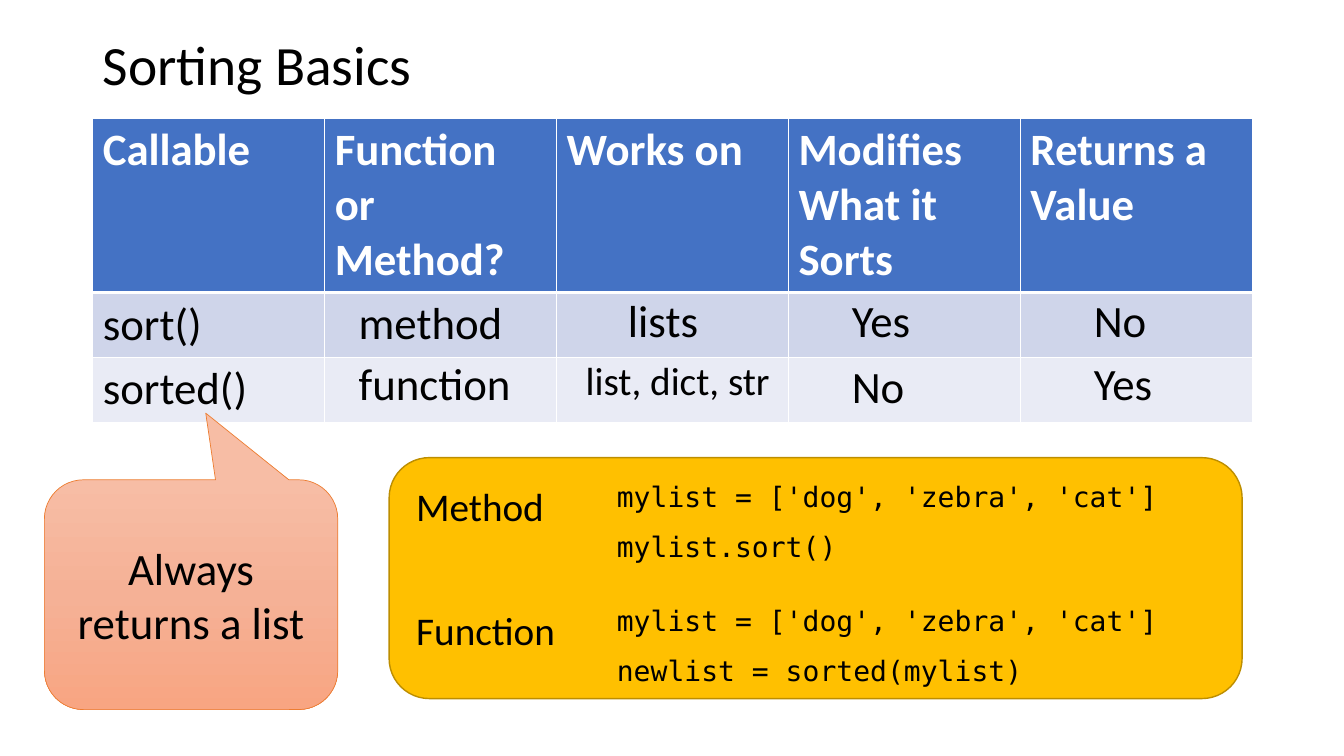
from copy import deepcopy
from dataclasses import dataclass

from lxml.etree import SubElement
from pptx import Presentation
from pptx.dml.color import RGBColor
from pptx.enum.shapes import MSO_SHAPE
from pptx.enum.text import MSO_ANCHOR, MSO_AUTO_SIZE, PP_ALIGN
from pptx.oxml.ns import qn
from pptx.util import Inches, Pt


@dataclass(frozen=True)
class Theme:
    font: str = "Calibri"
    code_font: str = "DejaVu Sans Mono"
    title_size: float = 39.6
    body_size: int = 32
    label_size: int = 28
    code_size: int = 20
    black: str = "000000"
    white: str = "FFFFFF"
    header: str = "4472C4"
    bands: tuple = ("CFD5EA", "E9EBF5")
    panel: str = "FFC000"
    panel_line: str = "BD8E00"
    callout: tuple = ("F7BDA5", "F5B196", "F8A582")
    callout_line: str = "ED7D31"


class SlideBuilder:
    def __init__(self, slide, theme):
        self.slide = slide
        self.theme = theme

    def set_words(self, frame, words, size, font=None, color=None, bold=False,
                  **paragraph_format):
        paragraph = frame.paragraphs[0]
        paragraph.text = words
        for name, value in paragraph_format.items():
            setattr(paragraph, name, value)
        font_format = {"name": font or self.theme.font, "size": Pt(size), "bold": bold}
        for run in paragraph.runs:
            for name, value in font_format.items():
                setattr(run.font, name, value)
            run.font.color.rgb = RGBColor.from_string(color or self.theme.black)

    def text(self, words, box, size, parent=None, wrap=True,
             anchor=MSO_ANCHOR.TOP, grow=True, **text_format):
        shapes = (parent or self.slide).shapes
        frame = shapes.add_textbox(*map(Inches, box)).text_frame
        frame_format = {
            "word_wrap": wrap,
            "vertical_anchor": anchor,
            "auto_size": MSO_AUTO_SIZE.SHAPE_TO_FIT_TEXT if grow else MSO_AUTO_SIZE.NONE,
        }
        for name, value in frame_format.items():
            setattr(frame, name, value)
        self.set_words(frame, words, size, **text_format)

    def shape(self, kind, box, line, width, fill=None, parent=None):
        shape = (parent or self.slide).shapes.add_shape(kind, *map(Inches, box))
        shape.shadow.inherit = False
        shape.line.color.rgb = RGBColor.from_string(line)
        shape.line.width = Pt(width)
        if fill:
            shape.fill.solid()
            shape.fill.fore_color.rgb = RGBColor.from_string(fill)
        return shape

    def gradient(self, shape, colors):
        fill = shape.fill
        fill.gradient()
        fill.gradient_angle = 270  # runs from top to bottom
        stop_list = shape._element.spPr.find(".//" + qn("a:gsLst"))
        stop_list.append(deepcopy(stop_list[-1]))
        for index, (stop, color) in enumerate(zip(fill.gradient_stops, colors)):
            stop.position = index / (len(colors) - 1)
            stop.color.rgb = RGBColor.from_string(color)

    def cell(self, cell, words, fill, bottom=1, **text_format):
        cell.fill.solid()
        cell.fill.fore_color.rgb = RGBColor.from_string(fill)
        self.set_words(cell.text_frame, words, self.theme.body_size, **text_format)
        # Borders come before the fill in the cell properties
        properties = cell._tc.get_or_add_tcPr()
        widths = {"lnL": 1, "lnR": 1, "lnT": 1, "lnB": bottom}
        for index, (side, width) in enumerate(widths.items()):
            line = SubElement(properties, qn(f"a:{side}"), w=str(Pt(width)))
            color = SubElement(line, qn("a:solidFill"))
            SubElement(color, qn("a:srgbClr"), val=self.theme.white)
            properties.insert(index, line)

    def table(self, headings, row_names, box, heights):
        table = self.slide.shapes.add_table(
            len(heights), len(headings), *map(Inches, box)).table
        for row, height in zip(table.rows, heights):
            row.height = Inches(height)
        for column, heading in enumerate(headings):
            self.cell(table.cell(0, column), heading, self.theme.header, bottom=3,
                      color=self.theme.white, bold=True)
            for row, name in enumerate(row_names, 1):
                self.cell(table.cell(row, column), "" if column else name,
                          self.theme.bands[row - 1])


def main():
    presentation = Presentation()
    presentation.slide_width = Inches(13.33)
    presentation.slide_height = Inches(7.5)
    theme = Theme()
    slide = presentation.slides.add_slide(presentation.slide_layouts[6])
    builder = SlideBuilder(slide, theme)

    # Title
    builder.text("Sorting Basics", (0.92, 0.4, 11.5, 0.54), theme.title_size,
                 anchor=MSO_ANCHOR.MIDDLE, grow=False, line_spacing=0.9)

    # Comparison table
    builder.table(
        ["Callable", "Function or Method?", "Works on",
         "Modifies What it Sorts", "Returns a Value"],
        ["sort()", "sorted()"], (0.92, 1.17, 11.5, 3.01), (1.73, 0.64, 0.64))

    # Panel with the two code examples
    panel = slide.shapes.add_group_shape()
    builder.shape(MSO_SHAPE.ROUNDED_RECTANGLE, (3.86, 4.54, 8.46, 2.39),
                  theme.panel_line, 1, theme.panel, panel)
    examples = [
        ("Method", 1.48, "mylist.sort()"),
        ("Function", 1.6, "newlist = sorted(mylist)"),
    ]
    for index, (label, width, call) in enumerate(examples):
        top = 4.54 + 1.23 * index
        builder.text(label, (4.03, top + 0.2, width, 0.57), theme.label_size,
                     panel, wrap=False)
        builder.text(f"mylist = ['dog', 'zebra', 'cat']\n{call}",
                     (6.02, top, 6.2, 1.05), theme.code_size, panel, wrap=False,
                     font=theme.code_font, line_spacing=1.5)

    # Answers laid over the table
    answers = [
        ("method", 3.46, 2.87, 1.7, theme.body_size),
        ("function", 3.46, 3.48, 1.86, theme.body_size),
        ("lists", 6.13, 2.85, 0.93, theme.body_size),
        ("list, dict, str", 5.71, 3.49, 2.07, theme.label_size),
        ("Yes", 8.35, 2.85, 0.93, theme.body_size),
        ("No", 8.35, 3.51, 0.93, theme.body_size),
        ("No", 10.75, 2.85, 0.93, theme.body_size),
        ("Yes", 10.75, 3.48, 0.93, theme.body_size),
    ]
    for answer, left, top, width, size in answers:
        builder.text(answer, (left, top, width, size / 50), size)

    # Callout pointing at sorted()
    callout = builder.shape(MSO_SHAPE.ROUNDED_RECTANGULAR_CALLOUT,
                            (0.44, 4.76, 2.91, 2.28), theme.callout_line, 0.5)
    for index, value in enumerate((0.05, -0.79, 0.17)):
        callout.adjustments[index] = value
    builder.gradient(callout, theme.callout)
    callout.text_frame.word_wrap = True
    callout.text_frame.vertical_anchor = MSO_ANCHOR.MIDDLE
    builder.set_words(callout.text_frame, "Always returns a list", theme.body_size,
                      alignment=PP_ALIGN.CENTER)

    presentation.save("out.pptx")


if __name__ == "__main__":
    main()
